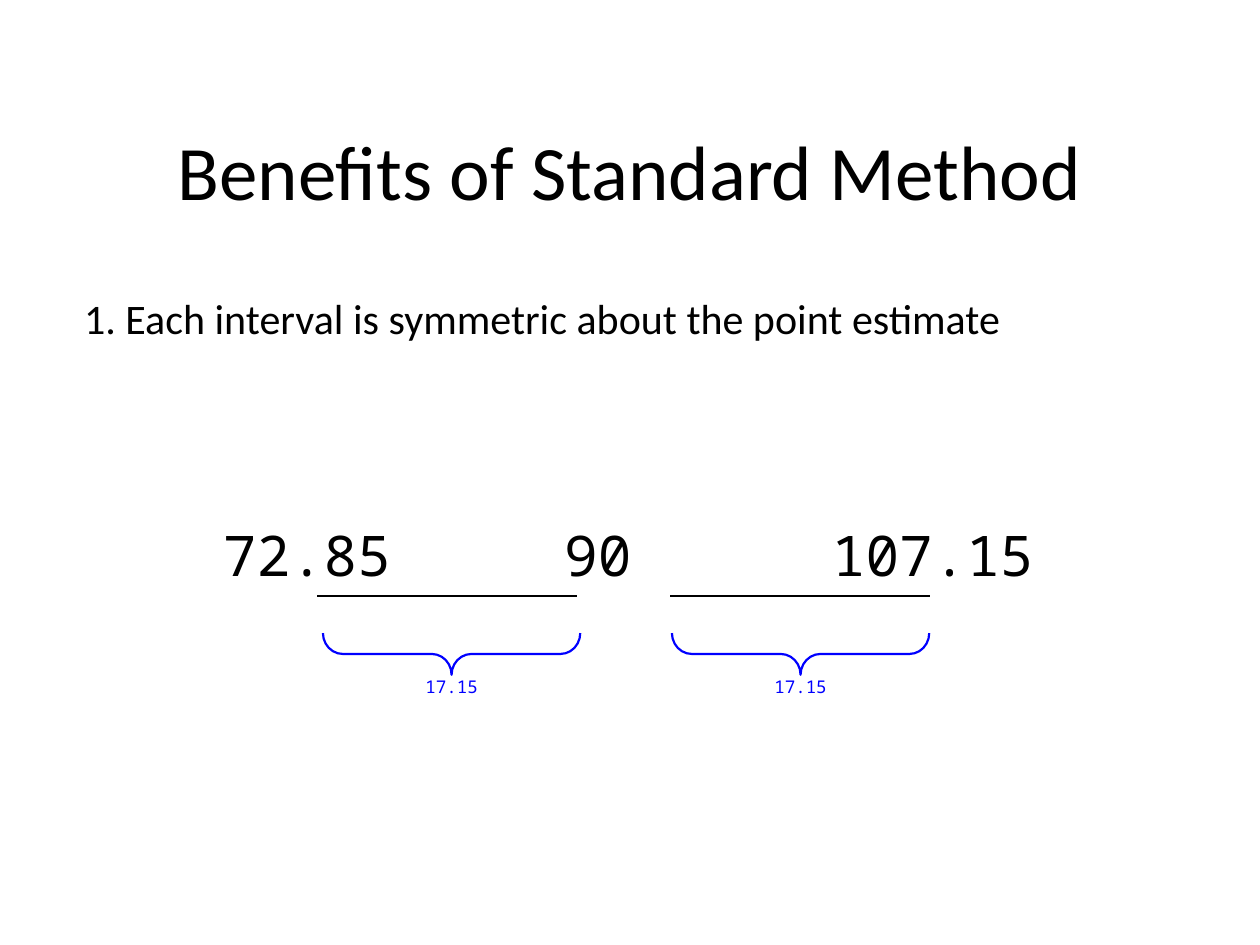
from lxml.etree import SubElement
from pptx import Presentation
from pptx.dml.color import RGBColor
from pptx.enum.shapes import MSO_CONNECTOR, MSO_SHAPE
from pptx.enum.text import MSO_ANCHOR, PP_ALIGN
from pptx.oxml.ns import qn
from pptx.util import Pt

BLACK = RGBColor(0, 0, 0)
BLUE = RGBColor(0, 0, 255)
SANS, MONO = "Calibri", "Noto Sans Mono"


class SlideBuilder:
    """Holds the text style and the current slide, and adds elements to it."""

    frame_format = {
        "word_wrap": True,
        "vertical_anchor": MSO_ANCHOR.TOP,
        "margin_left": Pt(7.2),
        "margin_right": Pt(7.2),
        "margin_top": Pt(3.6),
        "margin_bottom": Pt(3.6),
    }

    def __init__(self, slide):
        self.slide = slide

    def text(self, box, text, size, font=SANS, color=BLACK,
             align=PP_ALIGN.LEFT, tabs=(), **frame_values):
        shape = self.slide.shapes.add_textbox(*map(Pt, box))
        for name, value in {**self.frame_format, **frame_values}.items():
            setattr(shape.text_frame, name, value)
        paragraph = shape.text_frame.paragraphs[0]
        paragraph.text = text
        paragraph.alignment = align
        if tabs:
            tab_list = SubElement(paragraph._p.get_or_add_pPr(), qn("a:tabLst"))
            for position in tabs:
                SubElement(tab_list, qn("a:tab"), pos=str(Pt(position)), algn="l")
        for run in paragraph.runs:
            for name, value in {"name": font, "size": Pt(size)}.items():
                setattr(run.font, name, value)
            run.font.color.rgb = color

    def rule(self, left, top, width):
        connector = self.slide.shapes.add_connector(
            MSO_CONNECTOR.STRAIGHT, Pt(left), Pt(top), Pt(left + width), Pt(top))
        connector.line.color.rgb = BLACK
        connector.line.width = Pt(0.75)
        SubElement(connector._element.spPr, qn("a:effectLst"))

    def brace(self, center, middle, width, height):
        shape = self.slide.shapes.add_shape(
            MSO_SHAPE.LEFT_BRACE, Pt(center - height / 2), Pt(middle - width / 2),
            Pt(height), Pt(width))
        shape.rotation = 270
        shape.adjustments[0] = 0.477
        shape.adjustments[1] = 0.5
        shape.shadow.inherit = False
        shape.fill.background()
        shape.line.color.rgb = BLUE
        shape.line.width = Pt(1.25)


def main():
    presentation = Presentation()
    presentation.slide_width, presentation.slide_height = Pt(720), Pt(540)
    builder = SlideBuilder(presentation.slides.add_slide(presentation.slide_layouts[6]))

    builder.text((54, 57, 612, 80), "Benefits of Standard Method", 44,
                 align=PP_ALIGN.CENTER, vertical_anchor=MSO_ANCHOR.MIDDLE)
    builder.text((41, 163.4, 679, 106.6),
                 "1. Each interval is symmetric about the point estimate", 24)
    builder.text((72, 293.8, 576.7, 43.9), "72.85\t90\t107.15", 32, MONO,
                 tabs=(195, 348), margin_left=Pt(55.4))

    for rule_left in (181.4, 383):
        builder.rule(rule_left, 340.6, 148.4)
    for center in (258.1, 457.5):
        builder.text((center - 83.2, 383, 166.4, 45.4), "17.15", 10, MONO, BLUE,
                     PP_ALIGN.CENTER)
        builder.brace(center, 373.7, 147, 23.8)

    presentation.save("out.pptx")


if __name__ == "__main__":
    main()
